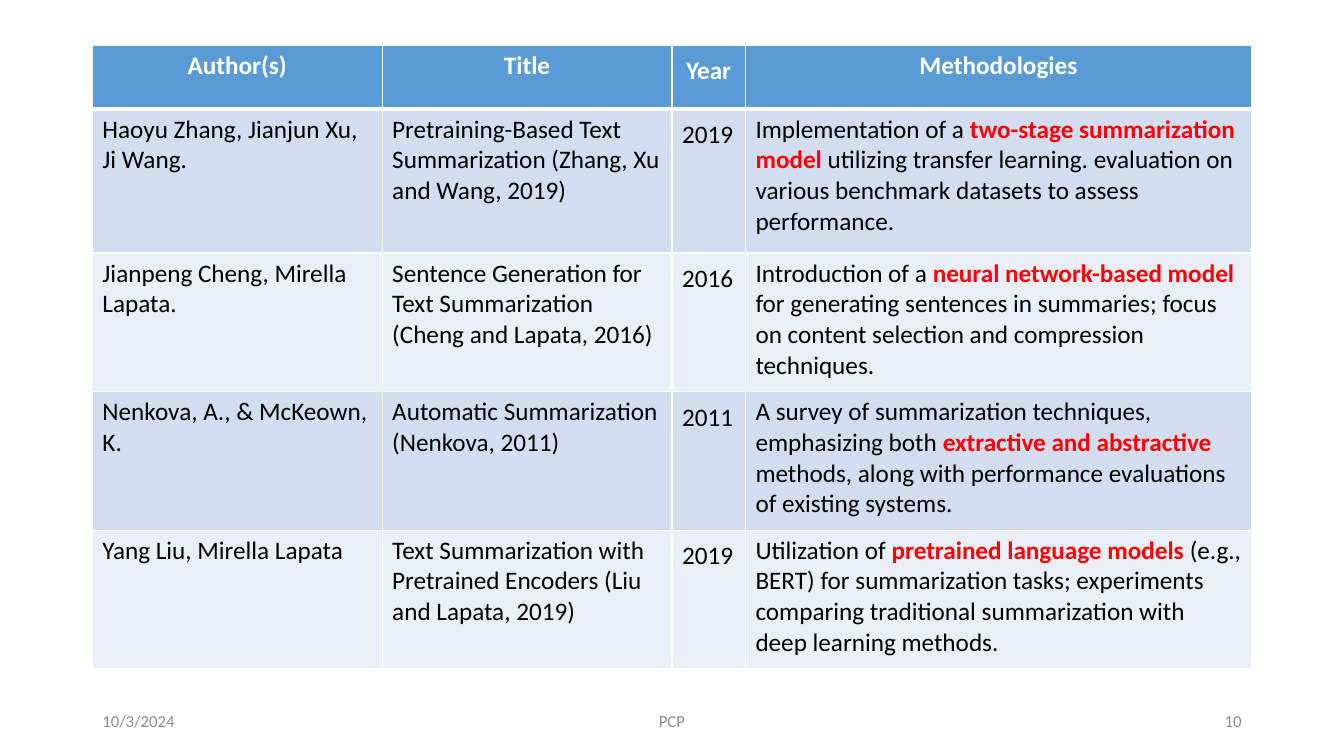
from dataclasses import dataclass

from lxml import etree
from pptx import Presentation
from pptx.dml.color import RGBColor
from pptx.enum.text import MSO_ANCHOR, PP_ALIGN
from pptx.oxml.ns import qn
from pptx.slide import Slide
from pptx.table import _Cell
from pptx.text.text import TextFrame
from pptx.util import Pt

PX = 9525
FONT = "Calibri"
LEFT, CENTER, RIGHT = PP_ALIGN.LEFT, PP_ALIGN.CENTER, PP_ALIGN.RIGHT
MIDDLE = MSO_ANCHOR.MIDDLE

WHITE = RGBColor(0xFF, 0xFF, 0xFF)
BLACK = RGBColor(0x00, 0x00, 0x00)
RED = RGBColor(0xFF, 0x00, 0x00)
GRAY = RGBColor(0x8C, 0x8C, 0x8C)
HEADER_BLUE = RGBColor(0x5B, 0x9B, 0xD5)
BANDS = (RGBColor(0xD2, 0xDE, 0xEF), RGBColor(0xEA, 0xEF, 0xF7))

TABLE_LEFT, TABLE_TOP = 88, 43
COLUMN_WIDTHS = (276, 276, 70, 482)
ROW_HEIGHTS = (61, 137, 132, 132, 132)
HEADERS = ("Author(s)", "Title", "Year", "Methodologies")
YEAR_COLUMN = HEADERS.index("Year")


@dataclass(frozen=True)
class Study:
    authors: str
    title: str
    year: str
    before: str
    highlight: str
    after: str


@dataclass(frozen=True)
class FooterItem:
    text: str
    left: int
    width: int
    align: PP_ALIGN


STUDIES = (
    Study(
        "Haoyu Zhang, Jianjun Xu, Ji Wang.",
        "Pretraining-Based Text Summarization (Zhang, Xu and Wang, 2019)",
        "2019",
        "Implementation of a ",
        "two-stage summarization model",
        " utilizing transfer learning. evaluation on various benchmark datasets to assess performance.",
    ),
    Study(
        "Jianpeng Cheng, Mirella Lapata.",
        "Sentence Generation for Text Summarization (Cheng and Lapata, 2016)",
        "2016",
        "Introduction of a ",
        "neural network-based model ",
        "for generating sentences in summaries; focus on content selection and compression techniques.",
    ),
    Study(
        "Nenkova, A., & McKeown, K.",
        "Automatic Summarization (Nenkova, 2011)",
        "2011",
        "A survey of summarization techniques, emphasizing both ",
        "extractive and abstractive",
        " methods, along with performance evaluations of existing systems.",
    ),
    Study(
        "Yang Liu, Mirella Lapata",
        "Text Summarization with Pretrained Encoders (Liu and Lapata, 2019)",
        "2019",
        "Utilization of ",
        "pretrained language models",
        " (e.g., BERT) for summarization tasks; experiments comparing traditional summarization with deep learning methods.",
    ),
)

FOOTER = (
    FooterItem("10/3/2024", 88, 288, LEFT),
    FooterItem("PCP", 424, 432, CENTER),
    FooterItem("10", 904, 288, RIGHT),
)


def add_text(frame: TextFrame, text: str, *, size: int = 18, color: RGBColor = BLACK,
             bold: bool = False, align: PP_ALIGN = LEFT) -> None:
    para = frame.paragraphs[0]
    para.alignment = align
    span = para.add_run()
    span.text = text
    span.font.name = FONT
    span.font.size = Pt(size)
    span.font.bold = bold
    span.font.color.rgb = color


def style_cell(cell: _Cell, fill: RGBColor, top: int, bottom: int) -> None:
    cell.fill.solid()
    cell.fill.fore_color.rgb = fill
    properties = cell._tc.get_or_add_tcPr()
    borders = (("a:lnL", 1), ("a:lnR", 1), ("a:lnT", top), ("a:lnB", bottom))
    for position, (tag, points) in enumerate(borders):
        line = etree.Element(qn(tag), w=str(Pt(points)))
        solid = etree.SubElement(line, qn("a:solidFill"))
        etree.SubElement(solid, qn("a:srgbClr"), val=str(WHITE))
        properties.insert(position, line)


def add_studies(page: Slide) -> None:
    table = page.shapes.add_table(
        len(ROW_HEIGHTS), len(COLUMN_WIDTHS), TABLE_LEFT * PX, TABLE_TOP * PX,
        sum(COLUMN_WIDTHS) * PX, sum(ROW_HEIGHTS) * PX).table
    for column, width in zip(table.columns, COLUMN_WIDTHS):
        column.width = width * PX
    for row, height in zip(table.rows, ROW_HEIGHTS):
        row.height = height * PX

    for index, header in enumerate(HEADERS):
        cell = table.cell(0, index)
        style_cell(cell, HEADER_BLUE, top=1, bottom=3)
        add_text(cell.text_frame, header, color=WHITE, bold=True, align=CENTER)

    for number, study in enumerate(STUDIES, start=1):
        cells = table.rows[number].cells
        for cell in cells:
            style_cell(cell, BANDS[(number - 1) % 2], top=3 if number == 1 else 1, bottom=1)
        for cell, text in zip(cells, (study.authors, study.title, study.year, study.before)):
            add_text(cell.text_frame, text)
        methodology = cells[len(HEADERS) - 1].text_frame
        add_text(methodology, study.highlight, color=RED, bold=True)
        add_text(methodology, study.after)

    for row in table.rows:
        row.cells[YEAR_COLUMN].margin_top = 10 * PX


def add_footer(page: Slide) -> None:
    for item in FOOTER:
        box = page.shapes.add_textbox(item.left * PX, 667 * PX, item.width * PX, 38 * PX)
        frame = box.text_frame
        frame.word_wrap = True
        frame.vertical_anchor = MIDDLE
        add_text(frame, item.text, size=12, color=GRAY, align=item.align)


def main() -> None:
    deck = Presentation()
    deck.slide_width = 1280 * PX
    deck.slide_height = 720 * PX
    page = deck.slides.add_slide(deck.slide_layouts[6])
    add_footer(page)
    add_studies(page)
    deck.save("out.pptx")


if __name__ == "__main__":
    main()
